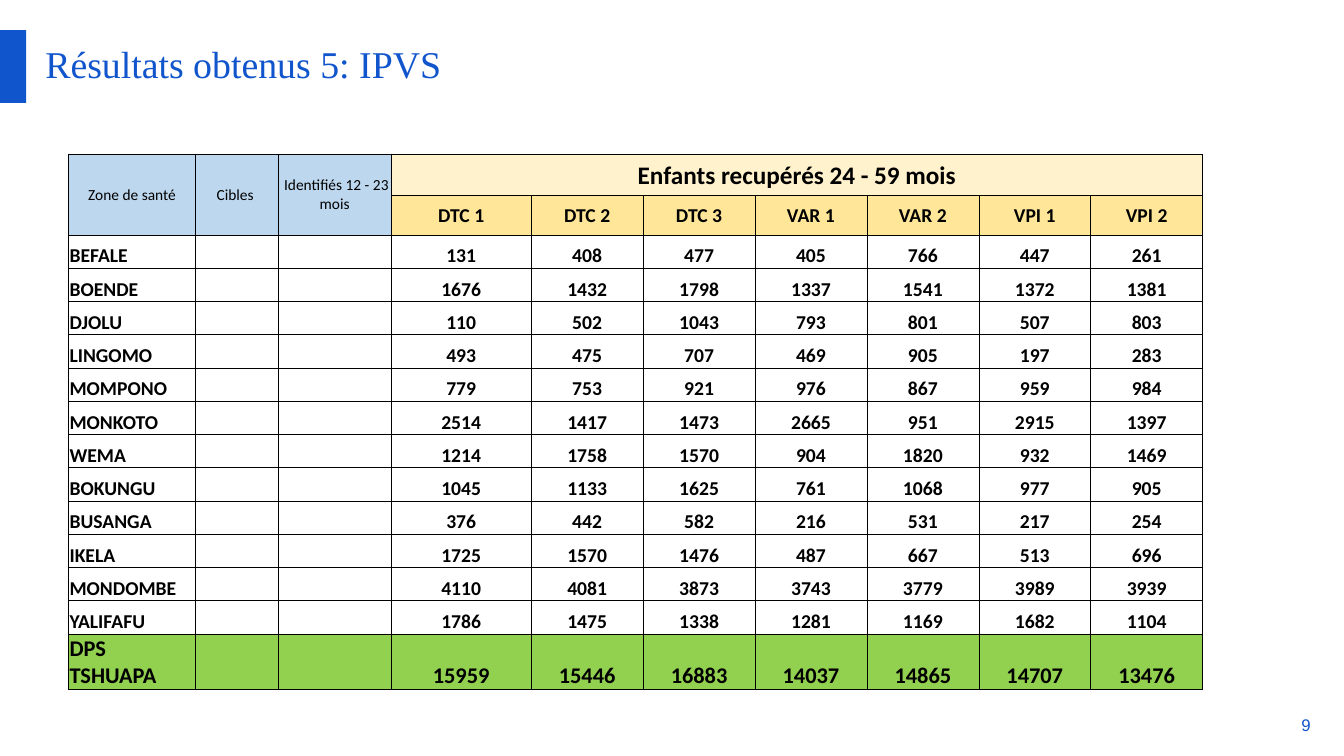
from lxml import etree
from pptx import Presentation
from pptx.dml.color import RGBColor
from pptx.enum.shapes import MSO_SHAPE
from pptx.enum.text import MSO_ANCHOR, PP_ALIGN
from pptx.oxml.ns import qn
from pptx.util import Inches, Pt

RECT = MSO_SHAPE.RECTANGLE
TOP, MID, LOW = MSO_ANCHOR.TOP, MSO_ANCHOR.MIDDLE, MSO_ANCHOR.BOTTOM
LEFT, MIDDLE, RIGHT = PP_ALIGN.LEFT, PP_ALIGN.CENTER, PP_ALIGN.RIGHT

BLUE, BLACK, GREEN = "1155CC", "000000", "92D050"
SKY, CREAM, GOLD = "BDD7EE", "FFF2CC", "FFE699"

WIDTHS = [1.26, 0.82, 1.12, 1.39] + [1.11] * 6
HEADS = ["Zone de santé", "Cibles ", " Identifiés 12 - 23 mois"]
GROUP = "Enfants recupérés 24 - 59 mois"
DOSES = ["DTC 1", "DTC 2", "DTC 3", "VAR 1", "VAR 2", "VPI 1", "VPI 2"]
ZONES = [
    ("BEFALE", 131, 408, 477, 405, 766, 447, 261),
    ("BOENDE", 1676, 1432, 1798, 1337, 1541, 1372, 1381),
    ("DJOLU", 110, 502, 1043, 793, 801, 507, 803),
    ("LINGOMO", 493, 475, 707, 469, 905, 197, 283),
    ("MOMPONO", 779, 753, 921, 976, 867, 959, 984),
    ("MONKOTO", 2514, 1417, 1473, 2665, 951, 2915, 1397),
    ("WEMA", 1214, 1758, 1570, 904, 1820, 932, 1469),
    ("BOKUNGU", 1045, 1133, 1625, 761, 1068, 977, 905),
    ("BUSANGA", 376, 442, 582, 216, 531, 217, 254),
    ("IKELA", 1725, 1570, 1476, 487, 667, 513, 696),
    ("MONDOMBE", 4110, 4081, 3873, 3743, 3779, 3989, 3939),
    ("YALIFAFU", 1786, 1475, 1338, 1281, 1169, 1682, 1104),
]
TOTAL = ("DPS TSHUAPA", 15959, 15446, 16883, 14037, 14865, 14707, 13476)
HEIGHTS = [0.41, 0.39] + [0.33] * len(ZONES) + [0.55]


def color(code):
    return RGBColor.from_string(code)


def set_all(item, values):
    for name, value in values.items():
        setattr(item, name, value)


def write(frame, text, size, face, code, align, bold=False):
    line = frame.paragraphs[0]
    line.alignment = align
    run = line.add_run()
    run.text = text
    set_all(run.font, {"size": Pt(size), "name": face, "bold": bold})
    run.font.color.rgb = color(code)


def add_label(slide, box, text, size, face, align, anchor):
    frame = slide.shapes.add_textbox(*map(Inches, box)).text_frame
    set_all(frame, {"word_wrap": True, "vertical_anchor": anchor,
                    "margin_left": 0, "margin_right": 0,
                    "margin_top": 0, "margin_bottom": 0})
    write(frame, text, size, face, BLUE, align)


def add_bar(slide, box, code):
    bar = slide.shapes.add_shape(RECT, *map(Inches, box))
    bar.shadow.inherit = False
    bar.fill.solid()
    bar.fill.fore_color.rgb = color(code)
    bar.line.fill.background()


def add_edges(cell):
    """Draw a thin black border on all four sides of a cell."""
    props = cell._tc.get_or_add_tcPr()
    for side in ("a:lnL", "a:lnR", "a:lnT", "a:lnB"):
        edge = etree.SubElement(props, qn(side), w=str(Pt(0.5)))
        fill = etree.SubElement(edge, qn("a:solidFill"))
        etree.SubElement(fill, qn("a:srgbClr"), val=BLACK)


def format_cell(cell):
    thin = Inches(0.01)
    set_all(cell, {"margin_left": thin, "margin_right": thin,
                   "margin_top": thin, "margin_bottom": 0})
    add_edges(cell)
    cell.fill.background()


def paint(cell, code):
    cell.fill.solid()
    cell.fill.fore_color.rgb = color(code)


def fill_cell(cell, text, size, align=MIDDLE, anchor=MID, bold=True):
    cell.vertical_anchor = anchor
    write(cell.text_frame, text, size, "Calibri", BLACK, align, bold)


def fill_head(table):
    for col, head in enumerate(HEADS):
        cell = table.cell(0, col)
        cell.merge(table.cell(1, col))
        paint(cell, SKY)
        fill_cell(cell, head, 11, bold=False)
    first = len(HEADS)
    group = table.cell(0, first)
    group.merge(table.cell(0, len(WIDTHS) - 1))
    paint(group, CREAM)
    fill_cell(group, GROUP, 18)
    for col, dose in enumerate(DOSES, first):
        paint(table.cell(1, col), GOLD)
        fill_cell(table.cell(1, col), dose, 14)


def fill_row(table, row, values, size):
    name, *counts = values
    fill_cell(table.cell(row, 0), name, size, LEFT, LOW)
    for col, count in enumerate(counts, len(HEADS)):
        fill_cell(table.cell(row, col), str(count), size, MIDDLE, LOW)


def add_grid(slide, left, top):
    box = map(Inches, (left, top, sum(WIDTHS), sum(HEIGHTS)))
    table = slide.shapes.add_table(len(HEIGHTS), len(WIDTHS), *box).table
    set_all(table, {"first_row": False, "horz_banding": False})
    for col, width in zip(table.columns, WIDTHS):
        col.width = Inches(width)
    for row, height in zip(table.rows, HEIGHTS):
        row.height = Inches(height)
    for cell in table.iter_cells():
        format_cell(cell)
    fill_head(table)
    for row, zone in enumerate(ZONES, 2):
        fill_row(table, row, zone, 14)
    last = len(HEIGHTS) - 1
    fill_row(table, last, TOTAL, 16)
    for cell in table.rows[last].cells:
        paint(cell, GREEN)


def main():
    deck = Presentation()
    set_all(deck, {"slide_width": Inches(13.33), "slide_height": Inches(7.5)})
    slide = deck.slides.add_slide(deck.slide_layouts[6])
    add_label(slide, (0.45, 0.4, 12.33, 0.52), "Résultats obtenus 5: IPVS",
              27, "Times New Roman", LEFT, TOP)
    add_bar(slide, (0, 0.3, 0.26, 0.72), BLUE)
    add_label(slide, (12.75, 7.1, 0.25, 0.18), "9", 12, "Arial", RIGHT, MID)
    add_grid(slide, 0.68, 1.53)
    deck.save("out.pptx")


if __name__ == "__main__":
    main()
